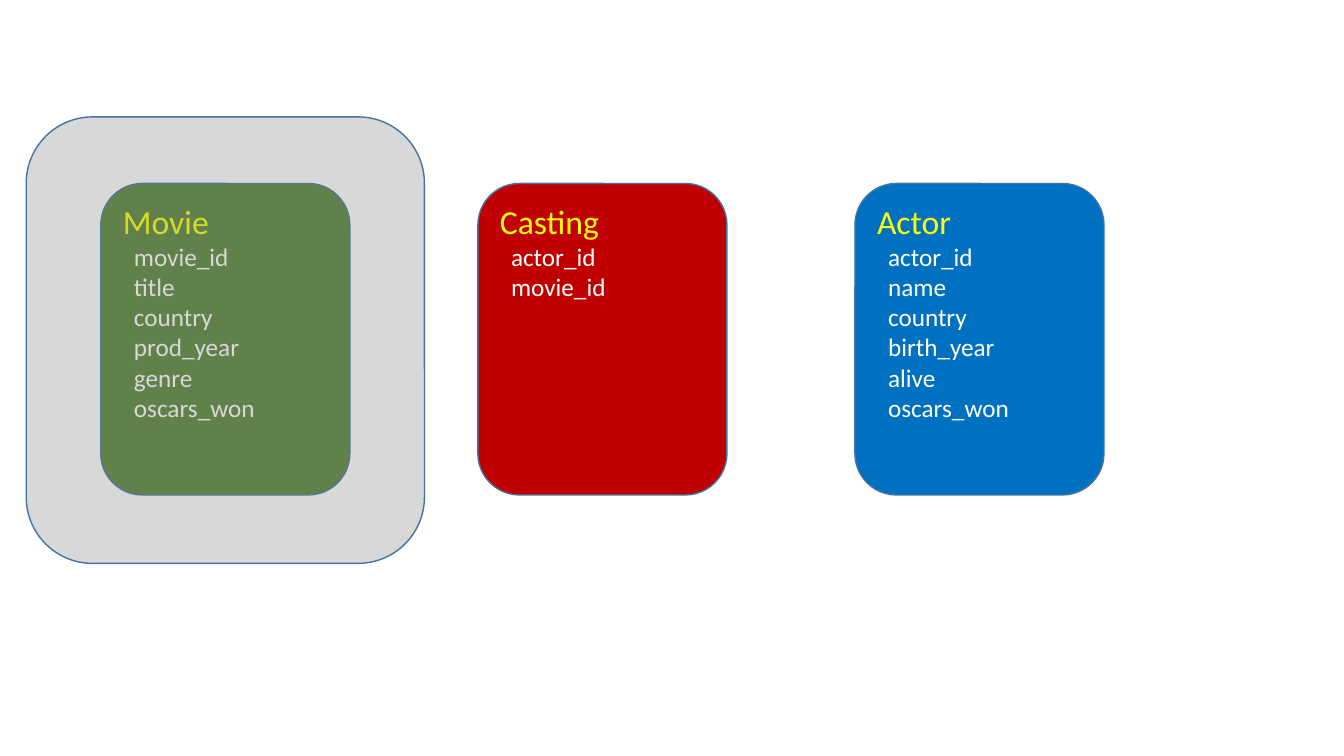
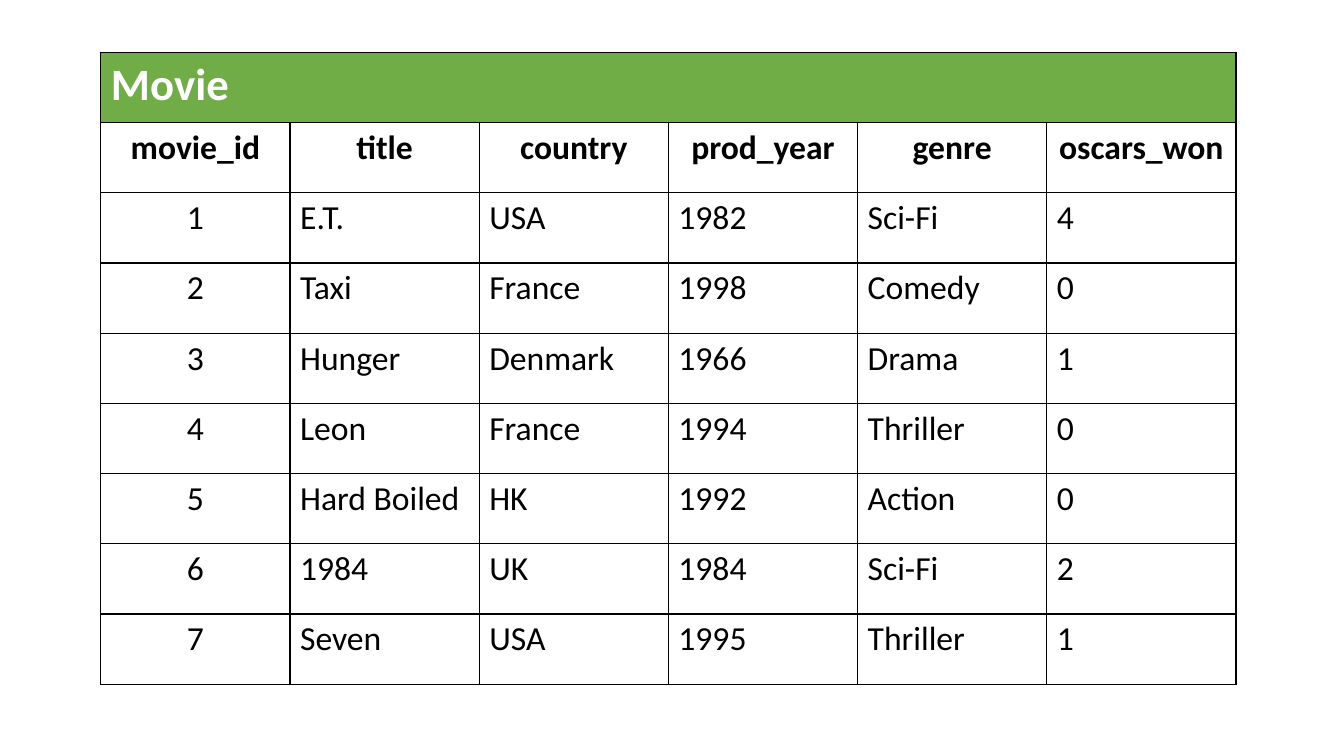
from dataclasses import dataclass

from lxml import etree
from pptx import Presentation
from pptx import util as u
from pptx.dml.color import RGBColor
from pptx.enum import shapes, text
from pptx.oxml import ns
from pptx.shapes.autoshape import Shape
from pptx.slide import Slide
from pptx.table import _Cell


@dataclass(frozen=True)
class Theme:
    font: str = "Calibri"
    white: str = "FFFFFF"
    black: str = "000000"
    yellow: str = "FFFF00"
    outline: str = "43739E"
    veil: str = "808080"
    movie: str = "548235"
    casting: str = "C00000"
    actor: str = "0070C0"
    banner: str = "70AD47"
    banner_size: int = 32
    head_size: int = 24
    field_size: int = 18
    line_width: int = 1


@dataclass(frozen=True)
class Entity:
    name: str
    color: str
    fields: tuple[str, ...]


@dataclass(frozen=True)
class Box:
    left: float
    top: float
    width: float
    height: float

    def lengths(self) -> tuple[u.Length, ...]:
        return tuple(u.Inches(v) for v in (self.left, self.top, self.width, self.height))


THEME = Theme()
CARD = Box(1, 1.82, 2.47, 3.09)
CARD_PITCH = 3.74
FIELD_INDENT = 0.11
VEIL = Box(0.26, 1.16, 3.95, 4.43)
VEIL_OPACITY = 30
TABLE = Box(1, 0.52, 11.26, 6.27)

ENTITIES = (
    Entity("Movie", THEME.movie,
           ("movie_id", "title", "country", "prod_year", "genre", "oscars_won")),
    Entity("Casting", THEME.casting, ("actor_id", "movie_id")),
    Entity("Actor", THEME.actor,
           ("actor_id", "name", "country", "birth_year", "alive", "oscars_won")),
)
MOVIES = (
    ("1", "E.T.", "USA", "1982", "Sci-Fi", "4"),
    ("2", "Taxi", "France", "1998", "Comedy", "0"),
    ("3", "Hunger", "Denmark", "1966", "Drama", "1"),
    ("4", "Leon", "France", "1994", "Thriller", "0"),
    ("5", "Hard Boiled", "HK", "1992", "Action", "0"),
    ("6", "1984", "UK", "1984", "Sci-Fi", "2"),
    ("7", "Seven", "USA", "1995", "Thriller", "1"),
)


def format_font(font, size: int, color: str, bold: bool = False) -> None:
    for name, value in {"name": THEME.font, "size": u.Pt(size), "bold": bold}.items():
        setattr(font, name, value)
    font.color.rgb = RGBColor.from_string(color)


def add_round_box(slide: Slide, box: Box, color: str) -> Shape:
    sp = slide.shapes.add_shape(shapes.MSO_SHAPE.ROUNDED_RECTANGLE, *box.lengths())
    sp.shadow.inherit = False
    sp.fill.solid()
    sp.fill.fore_color.rgb = RGBColor.from_string(color)
    sp.line.color.rgb = RGBColor.from_string(THEME.outline)
    sp.line.width = u.Pt(THEME.line_width)
    return sp


def add_card(slide: Slide, box: Box, entity: Entity) -> None:
    tf = add_round_box(slide, box, entity.color).text_frame
    tf.word_wrap = True
    tf.vertical_anchor = text.MSO_ANCHOR.TOP
    for i, line in enumerate((entity.name, *entity.fields)):
        p = tf.add_paragraph() if i else tf.paragraphs[0]
        p.alignment = text.PP_ALIGN.LEFT
        r = p.add_run()
        r.text = line
        if i:
            p._p.get_or_add_pPr().set("marL", str(u.Inches(FIELD_INDENT)))
            format_font(r.font, THEME.field_size, THEME.white)
        else:
            format_font(r.font, THEME.head_size, THEME.yellow)


def add_veil(slide: Slide, box: Box) -> None:
    sp = add_round_box(slide, box, THEME.veil)
    color = sp._element.spPr.find(ns.qn("a:solidFill"))[0]
    etree.SubElement(color, ns.qn("a:alpha"), val=str(VEIL_OPACITY * 1000))


def add_borders(cell: _Cell) -> None:
    tc_pr = cell._tc.get_or_add_tcPr()
    for side in ("lnL", "lnR", "lnT", "lnB"):
        ln = etree.SubElement(tc_pr, ns.qn(f"a:{side}"), w=str(u.Pt(THEME.line_width)))
        fill = etree.SubElement(ln, ns.qn("a:solidFill"))
        etree.SubElement(fill, ns.qn("a:srgbClr"), val=THEME.black)


def write_cell(cell: _Cell, value: str, size: int, color: str,
               bold: bool, centered: bool) -> None:
    p = cell.text_frame.paragraphs[0]
    p.alignment = text.PP_ALIGN.CENTER if centered else text.PP_ALIGN.LEFT
    r = p.add_run()
    r.text = value
    format_font(r.font, size, color, bold)


def add_entity_table(slide: Slide, box: Box, entity: Entity,
                     records: tuple[tuple[str, ...], ...]) -> None:
    rows = (entity.fields, *records)
    table = slide.shapes.add_table(
        len(rows) + 1, len(entity.fields), *box.lengths()).table
    table.first_row = table.horz_banding = False
    for cell in table.iter_cells():
        add_borders(cell)
        cell.fill.background()
    banner = table.cell(0, 0)
    banner.merge(table.cell(0, len(entity.fields) - 1))
    banner.fill.solid()
    banner.fill.fore_color.rgb = RGBColor.from_string(THEME.banner)
    write_cell(banner, entity.name, THEME.banner_size, THEME.white, True, False)
    for i, row in enumerate(rows, start=1):
        heading = i == 1
        for j, value in enumerate(row):
            write_cell(table.cell(i, j), value, THEME.head_size, THEME.black,
                       heading, heading or j == 0)


def main() -> None:
    prs = Presentation()
    prs.slide_width, prs.slide_height = u.Inches(13.33), u.Inches(7.5)
    blank = prs.slide_layouts.get_by_name("Blank")

    schema = prs.slides.add_slide(blank)
    for i, entity in enumerate(ENTITIES):
        box = Box(CARD.left + i * CARD_PITCH, CARD.top, CARD.width, CARD.height)
        add_card(schema, box, entity)
    add_veil(schema, VEIL)

    add_entity_table(prs.slides.add_slide(blank), TABLE, ENTITIES[0], MOVIES)
    prs.save("out.pptx")


if __name__ == "__main__":
    main()
